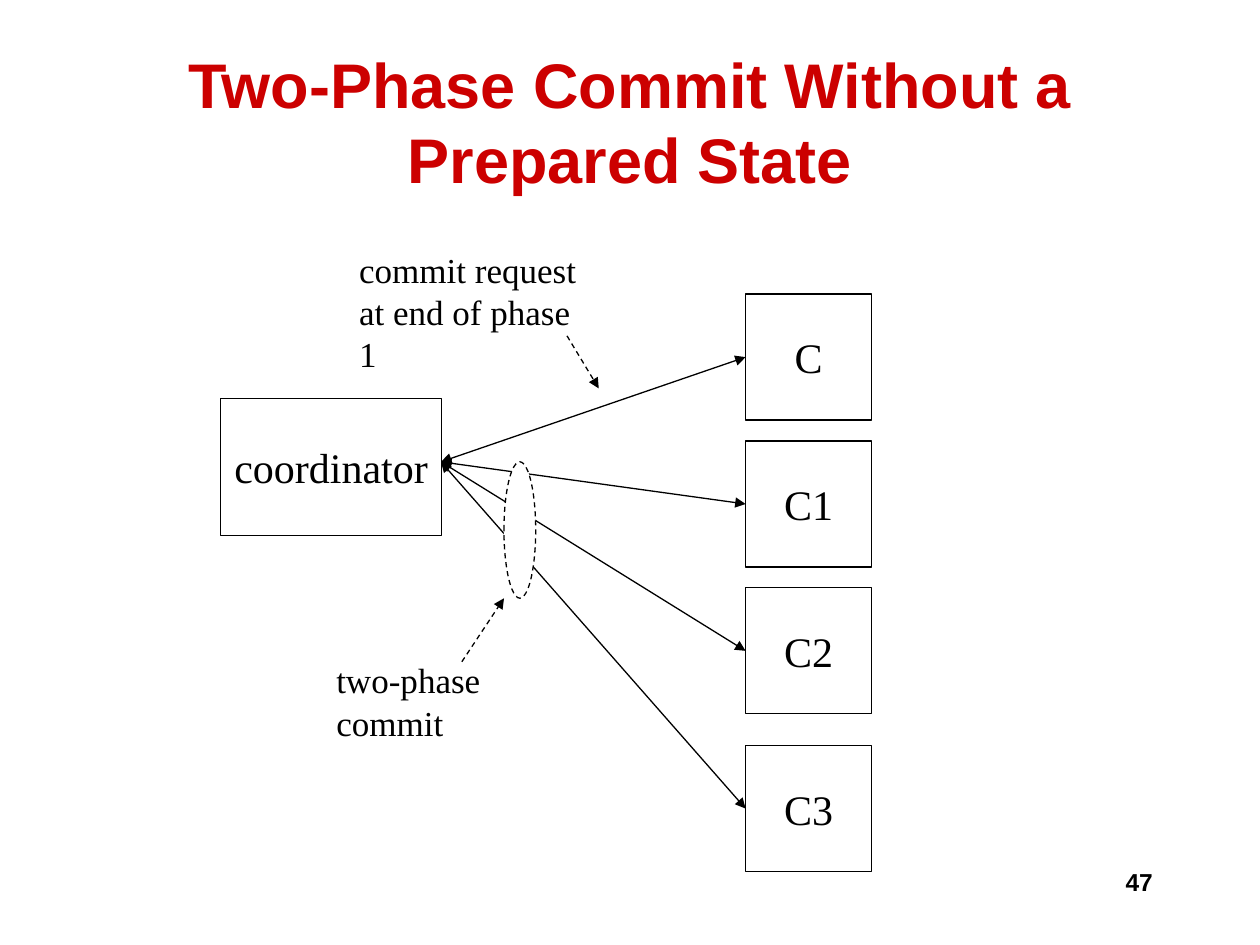
import pptx
import pptx.dml.color
import pptx.enum.dml
import pptx.enum.shapes
import pptx.enum.text
import pptx.oxml.ns
from dataclasses import dataclass
from lxml import etree
from pptx.util import Cm, Pt


@dataclass(frozen=True)
class Theme:
    black = pptx.dml.color.RGBColor(0x00, 0x00, 0x00)
    white = pptx.dml.color.RGBColor(0xFF, 0xFF, 0xFF)
    red = pptx.dml.color.RGBColor(0xCC, 0x00, 0x00)
    heading_font = "Arial"
    body_font = "Times New Roman"
    title_size = Pt(36)
    node_size = Pt(24)
    note_size = Pt(20)
    number_size = Pt(14)
    line_width = Pt(0.75)


theme = Theme()
ALIGN = pptx.enum.text.PP_ALIGN
MIDDLE = pptx.enum.text.MSO_ANCHOR.MIDDLE
SHAPE = pptx.enum.shapes.MSO_SHAPE
DASH = pptx.enum.dml.MSO_LINE.DASH

presentation = pptx.Presentation()
presentation.slide_width = Cm(25.4)
presentation.slide_height = Cm(19.05)
slide = presentation.slides.add_slide(presentation.slide_layouts[6])


def write(frame, lines, size, align, font=theme.body_font, color=theme.black, bold=False):
    frame.text = "\n".join(lines)
    for paragraph in frame.paragraphs:
        paragraph.alignment = align
        paragraph.font.name = font
        paragraph.font.size = size
        paragraph.font.bold = bold
        paragraph.font.color.rgb = color


def add_arrow(start, end, both_ends=False, dashed=False):
    arrow = slide.shapes.add_connector(
        pptx.enum.shapes.MSO_CONNECTOR.STRAIGHT,
        Cm(start[0]), Cm(start[1]), Cm(end[0]), Cm(end[1]))
    arrow.line.color.rgb = theme.black
    arrow.line.width = theme.line_width
    if dashed:
        arrow.line.dash_style = DASH
    for tag in ("a:headEnd", "a:tailEnd") if both_ends else ("a:tailEnd",):
        etree.SubElement(arrow.line._ln, pptx.oxml.ns.qn(tag), type="triangle")
    etree.SubElement(arrow._element.spPr, pptx.oxml.ns.qn("a:effectLst"))


# Title and page number
title = slide.shapes.add_textbox(Cm(1.9), Cm(0.85), Cm(21.6), Cm(3.18)).text_frame
title.word_wrap = True
title.vertical_anchor = MIDDLE
write(title, ["Two-Phase Commit Without a Prepared State"], theme.title_size,
      ALIGN.CENTER, theme.heading_font, theme.red, bold=True)

page_number = slide.shapes.add_textbox(Cm(18.2), Cm(17.36), Cm(5.29), Cm(1.27)).text_frame
page_number.word_wrap = True
write(page_number, ["47"], theme.number_size, ALIGN.RIGHT, theme.heading_font, bold=True)

# Coordinator and its cohorts
cohort_left, cohort_side = 15.03, 2.54
cohort_tops = {"C": 5.93, "C1": 8.89, "C2": 11.85, "C3": 15.03}
nodes = [("coordinator", 4.45, 8.04, 4.45, 2.75)]
nodes += [(name, cohort_left, top, cohort_side, cohort_side)
          for name, top in cohort_tops.items()]
for name, left, top, width, height in nodes:
    node = slide.shapes.add_shape(SHAPE.RECTANGLE, Cm(left), Cm(top), Cm(width), Cm(height))
    node.shadow.inherit = False
    node.fill.solid()
    node.fill.fore_color.rgb = theme.white
    node.line.color.rgb = theme.black
    node.line.width = theme.line_width
    node.text_frame.word_wrap = False
    node.text_frame.vertical_anchor = MIDDLE
    write(node.text_frame, [name], theme.node_size, ALIGN.CENTER)

# Messages between the coordinator and each cohort
for top in cohort_tops.values():
    add_arrow((8.89, 9.31), (cohort_left, top + cohort_side / 2), both_ends=True)

# Ring around the messages that use two-phase commit
ring = slide.shapes.add_shape(SHAPE.OVAL, Cm(10.16), Cm(9.31), Cm(0.64), Cm(2.75))
ring.shadow.inherit = False
ring.fill.solid()
ring.fill.fore_color.rgb = theme.white
ring.line.color.rgb = theme.black
ring.line.width = theme.line_width
ring.line.dash_style = DASH

# Notes, each with a dashed pointer
notes = [
    (["two-phase commit"], (6.53, 13.16, 5.74, 1.09), (9.31, 13.34), (10.16, 12.06)),
    (["commit request", "at end of phase 1"], (6.99, 4.88, 5.28, 1.96),
     (11.43, 6.77), (12.07, 7.83)),
]
for lines, box, start, end in notes:
    note = slide.shapes.add_textbox(*map(Cm, box)).text_frame
    note.word_wrap = True
    note.margin_right = Cm(0.55)
    write(note, lines, theme.note_size, ALIGN.LEFT)
    add_arrow(start, end, dashed=True)

presentation.save("out.pptx")
